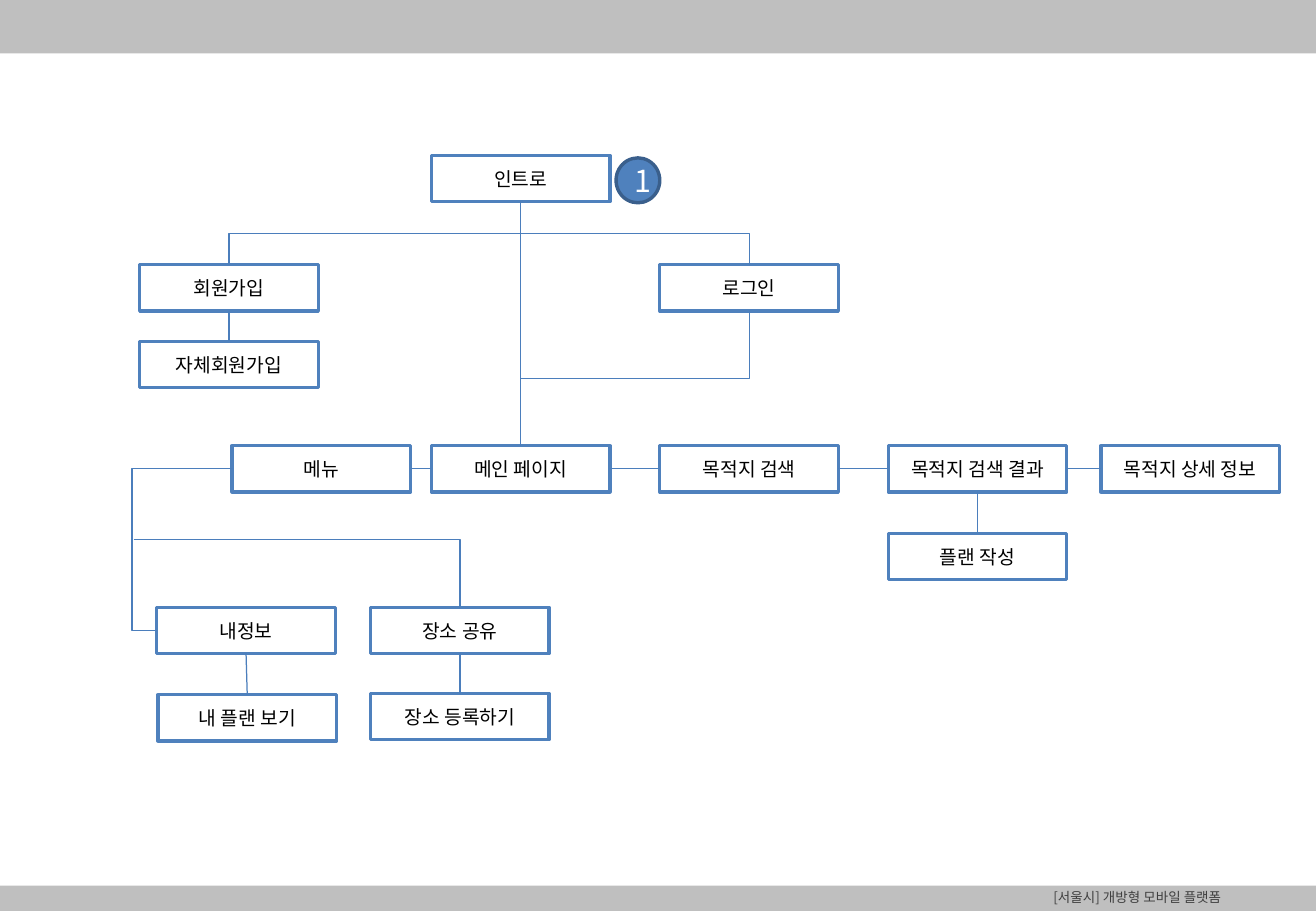
from pptx import Presentation
from pptx.dml.color import RGBColor
from pptx.enum.shapes import MSO_CONNECTOR, MSO_SHAPE
from pptx.enum.text import MSO_ANCHOR, PP_ALIGN
from pptx.oxml.ns import qn
from pptx.util import Inches, Pt
from lxml.etree import SubElement

FONT = "Noto Sans CJK KR"
WIDE, HIGH = 10.83, 7.5
BOX_W, BOX_H = 1.47, 0.38

deck = Presentation()
deck.slide_width, deck.slide_height = Inches(WIDE), Inches(HIGH)
slide = deck.slides.add_slide(deck.slide_layouts[6])
shapes = slide.shapes


def shape(kind, at, fill=None, edge=None, text="", size=11.4, ink="000000",
          align=PP_ALIGN.CENTER):
    at = [Inches(v) for v in at]
    item = shapes.add_shape(kind, *at) if kind else shapes.add_textbox(*at)
    if kind:
        item.shadow.inherit = False
        item.fill.solid()
        item.fill.fore_color.rgb = RGBColor.from_string(fill)
        if edge:
            item.line.color.rgb = RGBColor.from_string(edge)
            item.line.width = Pt(2)
        else:
            item.line.fill.background()
    if text:
        frame = item.text_frame
        frame.word_wrap = True
        frame.vertical_anchor = MSO_ANCHOR.MIDDLE if kind else MSO_ANCHOR.TOP
        para = frame.paragraphs[0]
        para.alignment = align
        run = para.add_run()
        run.text = text
        run.font.size, run.font.name = Pt(size), FONT
        run.font.color.rgb = RGBColor.from_string(ink)
        SubElement(run.font._element, qn("a:ea")).set("typeface", FONT)


def link(start, end, form="line", bend=None):
    """Form: line, side (elbow leaving sideways), down (elbow leaving downward) or corner."""
    (x1, y1), (x2, y2) = start, end
    turn = 0
    if form == "down":
        # A downward elbow is a sideways one turned about its centre
        turn = 90 if x2 < x1 else 270
        sign = 1 if x2 < x1 else -1
        mid_x, mid_y = (x1 + x2) / 2, (y1 + y2) / 2
        half_w, half_h = sign * (y2 - y1) / 2, abs(x2 - x1) / 2
        x1, x2 = mid_x - half_w, mid_x + half_w
        y1, y2 = mid_y - half_h, mid_y + half_h
    kind = MSO_CONNECTOR.STRAIGHT if form == "line" else MSO_CONNECTOR.ELBOW
    wire = shapes.add_connector(kind, *[Inches(v) for v in (x1, y1, x2, y2)])
    wire.line.color.rgb = RGBColor.from_string("4B7EBC")
    wire.line.width = Pt(0.75)
    props = wire._element.spPr
    SubElement(props, qn("a:effectLst"))
    if turn:
        props.find(qn("a:xfrm")).set("rot", str(turn * 60000))
    geom = props.find(qn("a:prstGeom"))
    if form == "corner":
        geom.set("prst", "bentConnector2")
    if bend is not None:
        guide = SubElement(geom.find(qn("a:avLst")), qn("a:gd"))
        guide.set("name", "adj1")
        guide.set("fmla", f"val {round(bend * 100000)}")


# Header and footer bands
shape(MSO_SHAPE.RECTANGLE, (0, HIGH - 0.21, WIDE, 0.21), "BFBFBF")
shape(MSO_SHAPE.RECTANGLE, (0, 0, WIDE, 0.44), "BFBFBF")
shape(None, (7.91, 7.27, 2.24, 0.24), text="[서울시] 개방형 모바일 플랫폼",
      size=8, ink="404040", align=PP_ALIGN.RIGHT)

# Page boxes: left and top of each
MAIN, FIND, RESULT = 3.55, 5.43, 7.31
JOIN, MINE, SHARE = 1.15, 1.29, 3.05
ENTRY, HOME, LIST = 2.18, 3.67, 5
pages = {
    "인트로": (MAIN, 1.28),
    "회원가입": (JOIN, ENTRY),
    "로그인": (FIND, ENTRY),
    "자체회원가입": (JOIN, 2.81),
    "메뉴": (1.91, HOME),
    "메인 페이지": (MAIN, HOME),
    "목적지 검색": (FIND, HOME),
    "목적지 검색 결과": (RESULT, HOME),
    "목적지 상세 정보": (9.06, HOME),
    "플랜 작성": (RESULT, 4.39),
    "내정보": (MINE, LIST),
    "장소 공유": (SHARE, LIST),
    "내 플랜 보기": (MINE + 0.01, 5.72),
    "장소 등록하기": (SHARE, 5.71),
}
for name, (x, y) in pages.items():
    shape(MSO_SHAPE.RECTANGLE, (x, y, BOX_W, BOX_H), "FFFFFF", "4F81BD", name)

# Middle of each box edge
top = {n: (x + BOX_W / 2, y) for n, (x, y) in pages.items()}
foot = {n: (x + BOX_W / 2, y + BOX_H) for n, (x, y) in pages.items()}
left = {n: (x, y + BOX_H / 2) for n, (x, y) in pages.items()}
right = {n: (x + BOX_W, y + BOX_H / 2) for n, (x, y) in pages.items()}

# Links from one level down to the next
for a, b, form in [
    ("인트로", "로그인", "down"),
    ("인트로", "회원가입", "down"),
    ("로그인", "메인 페이지", "down"),
    ("인트로", "메인 페이지", "line"),
    ("회원가입", "자체회원가입", "line"),
    ("목적지 검색 결과", "플랜 작성", "line"),
    ("내정보", "내 플랜 보기", "line"),
    ("장소 공유", "장소 등록하기", "line"),
]:
    link(foot[a], top[b], form)

# Links along the main row
row = [n for n, (x, y) in pages.items() if y == HOME]
for a, b in zip(row, row[1:]):
    link(right[a], left[b])

# Menu branches
link(left["메뉴"], left["내정보"], "side", 1.33)
link((1.1, 4.44), top["장소 공유"], "corner")

# Number badge
shape(MSO_SHAPE.OVAL, (5.07, 1.3, 0.36, 0.37), "4F81BD", "3A5F8C", "1", 18, "FFFFFF")

deck.save("out.pptx")
